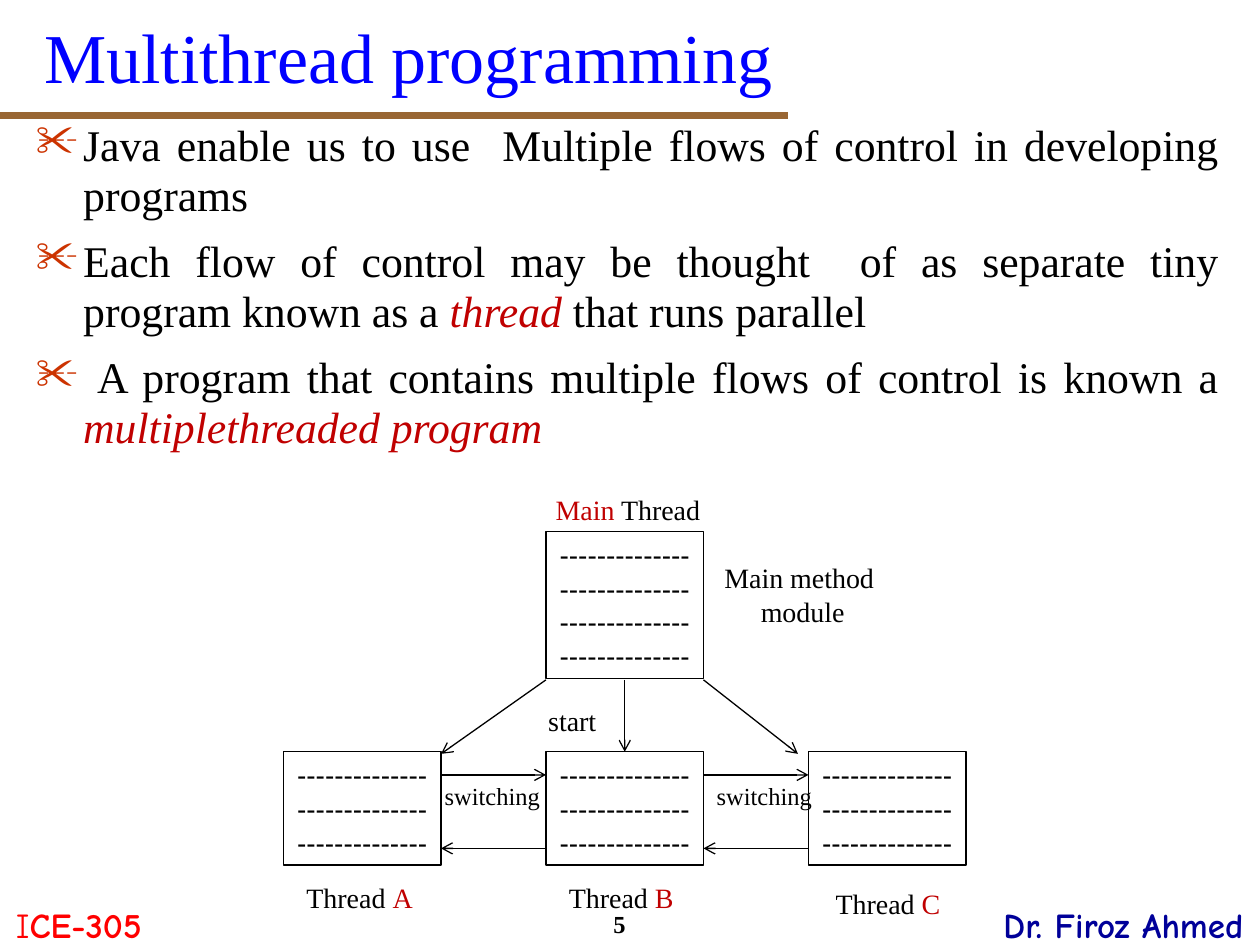
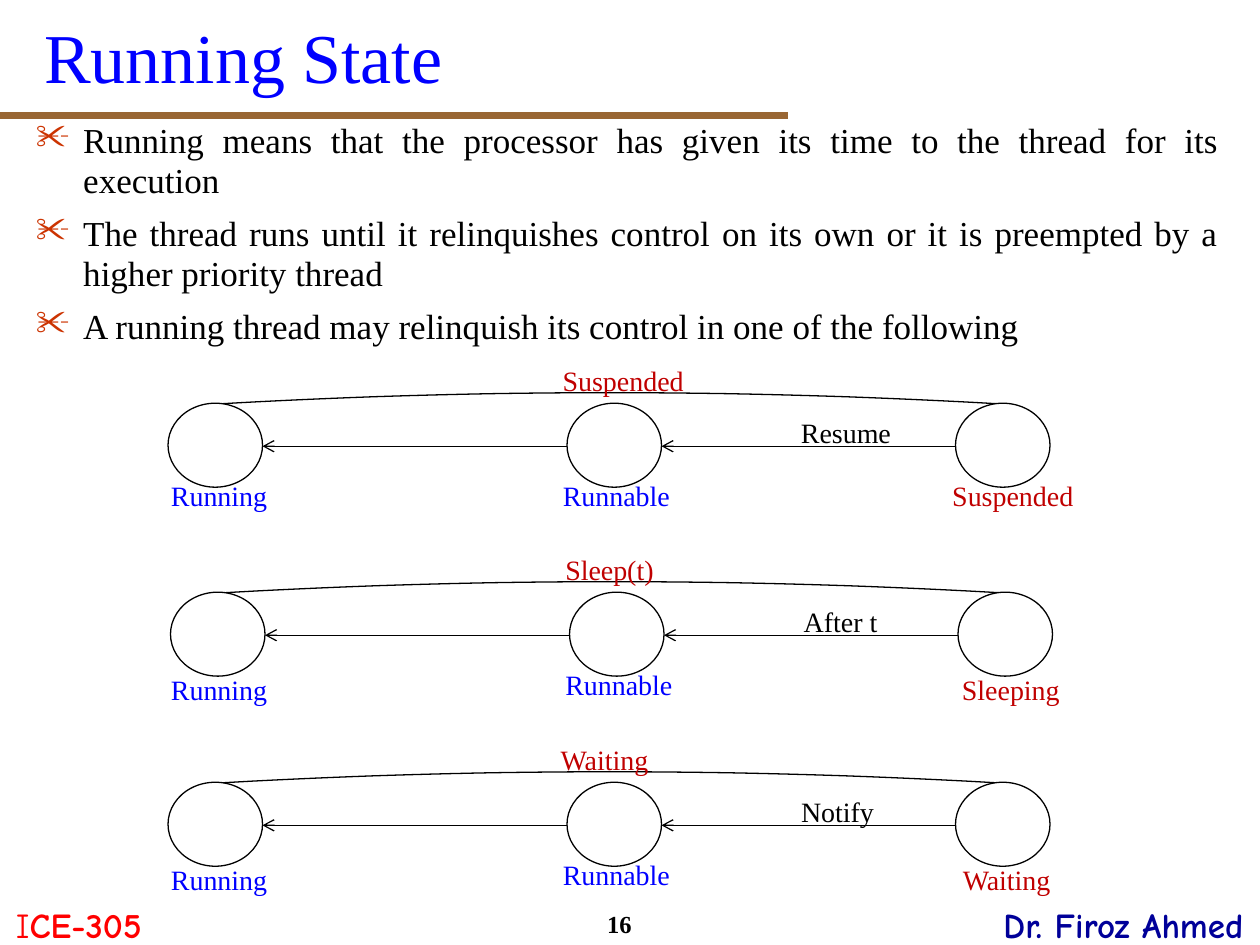
from lxml import etree
from pptx import Presentation
from pptx.dml.color import RGBColor
from pptx.enum.shapes import MSO_CONNECTOR, MSO_SHAPE
from pptx.enum.text import MSO_ANCHOR, MSO_AUTO_SIZE, PP_ALIGN
from pptx.oxml.ns import qn
from pptx.util import Inches, Pt

STRAIGHT = MSO_CONNECTOR.STRAIGHT
RECT, OVAL = MSO_SHAPE.RECTANGLE, MSO_SHAPE.OVAL
TOP, MIDDLE = MSO_ANCHOR.TOP, MSO_ANCHOR.MIDDLE
LEFT, CENTER, JUSTIFY = PP_ALIGN.LEFT, PP_ALIGN.CENTER, PP_ALIGN.JUSTIFY
NO_FIT = MSO_AUTO_SIZE.NONE

COLS, ROWS = 120, 90
WIDTH, HEIGHT = Inches(10), Inches(7.5)
SERIF, SANS, COMIC = "Times New Roman", "Arial", "Comic Neue"
COLORS = {
    "ink": "000000", "paper": "FFFFFF", "title": "0000FF", "key": "C00000",
    "band": "996633", "bullet": "CC3300", "course": "FF0000", "author": "000099",
}
TITLE_ONLY = 5


def rgb(name):
    """Look up a colour by its role."""
    return RGBColor.from_string(COLORS[name])


def cell(col, row):
    """Turn a grid place or size into lengths."""
    return round(WIDTH * col / COLS), round(HEIGHT * row / ROWS)


def style(run, size, color="ink", font=SERIF, bold=False, italic=False):
    """Format one run."""
    face = run.font
    face.size, face.name = Pt(size), font
    face.bold, face.italic = bold, italic
    face.color.rgb = rgb(color)


def write(para, parts, base, odd=None):
    """Write runs, giving every second part the odd style."""
    for i, part in enumerate(parts):
        if part:
            run = para.add_run()
            run.text = part
            style(run, **{**base, **(odd if i % 2 else {})})


def label(slide, box, lines, base, odd=None, wrap=False):
    """Add centred text, one tuple of parts a line."""
    shape = slide.shapes.add_textbox(*cell(*box[:2]), *cell(*box[2:]))
    frame = shape.text_frame
    frame.word_wrap = wrap
    for i, parts in enumerate(lines):
        para = frame.add_paragraph() if i else frame.paragraphs[0]
        para.alignment = CENTER
        write(para, parts, base, odd)


def note(slide, box, *parts, color="ink", size=16):
    """Add a one-line diagram label with its odd part in the key colour."""
    label(slide, box, [parts], {"size": size, "color": color}, {"color": "key"})


def trace(shape, filled=True):
    """Give a shape a thin black outline and no shadow."""
    shape.shadow.inherit = False
    shape.line.color.rgb = rgb("ink")
    shape.line.width = Pt(0.75)
    if filled:
        shape.fill.solid()
        shape.fill.fore_color.rgb = rgb("paper")
    else:
        shape.fill.background()


def link(slide, start, end, color="ink", width=0.75, arrow=True):
    """Draw a straight line, with an open arrowhead if wanted."""
    line = slide.shapes.add_connector(STRAIGHT, *cell(*start), *cell(*end))
    line.line.color.rgb = rgb(color)
    line.line.width = Pt(width)
    props = line._element.spPr
    if arrow:
        etree.SubElement(props.find(qn("a:ln")), qn("a:tailEnd"), type="arrow")
    etree.SubElement(props, qn("a:effectLst"))


def code(slide, col, row, high, count):
    """Draw a box holding lines of dashes as stand-in code."""
    shape = slide.shapes.add_shape(RECT, *cell(col, row), *cell(15, high))
    trace(shape, filled=False)
    frame = shape.text_frame
    frame.word_wrap, frame.vertical_anchor = True, TOP
    frame.text = "-" * 14 * count
    para = frame.paragraphs[0]
    para.alignment = CENTER
    style(para.runs[0], 16, font=SANS)


def arc(slide, col, row):
    """Draw the shallow curve that joins the outer states."""
    span, rise, steps = 75.5, 1.1, 40
    points = [
        cell(col + span * i / steps, row - rise * 4 * i * (steps - i) / steps**2)
        for i in range(steps + 1)
    ]
    build = slide.shapes.build_freeform(*points[0])
    build.add_line_segments(points[1:], close=False)
    trace(build.convert_to_shape())


def points(slide, high, size, before, items):
    """Add the justified bullet list under the title."""
    shape = slide.shapes.add_textbox(*cell(2.25, 11), *cell(115, high))
    frame = shape.text_frame
    frame.word_wrap = True
    for i, parts in enumerate(items):
        para = frame.add_paragraph() if i else frame.paragraphs[0]
        para.alignment, para.line_spacing = JUSTIFY, 0.95
        para.space_before = Pt(before)
        props = para._p.get_or_add_pPr()
        indent = Inches(0.375)
        props.set("marL", str(indent))
        props.set("indent", str(-indent))
        tint = etree.SubElement(props, qn("a:buClr"))
        etree.SubElement(tint, qn("a:srgbClr"), val=COLORS["bullet"])
        etree.SubElement(props, qn("a:buChar"), char="✂")
        write(para, parts, {"size": size}, {"color": "key", "italic": True})


def start(deck, title, page):
    """Add a slide with its title, band and footers."""
    slide = deck.slides.add_slide(deck.slide_layouts[TITLE_ONLY])
    link(slide, (0, 11), (75, 11), "band", 4.5, arrow=False)
    comic = {"size": 20, "font": COMIC}
    label(slide, (0, 85.5, 15, 5.3), [("I", "CE-305")],
          {**comic, "color": "course"}, {"bold": True}, wrap=True)
    label(slide, (94, 85.5, 26, 5.3), [("Dr. Firoz Ahmed",)],
          {**comic, "color": "author", "bold": True}, wrap=True)
    label(slide, (55, 86, 8, 4), [(page,)], {"size": 14, "bold": True}, wrap=True)
    head = slide.shapes.title
    head.left, head.top = cell(3, -0.25)
    head.width, head.height = cell(114, 11)
    frame = head.text_frame
    frame.text = title
    frame.auto_size, frame.vertical_anchor = NO_FIT, MIDDLE
    frame.paragraphs[0].alignment = LEFT
    style(frame.paragraphs[0].runs[0], 40, "title")
    return slide


def threads(slide):
    """Draw the main thread and the three threads it starts."""
    left, mid, step, wide = 27, 52, 25, 15
    main_row, row = 50.6, 71.6
    code(slide, mid, main_row, 14, 4)
    for i in range(3):
        code(slide, left + i * step, row, 10.8, 3)
    note(slide, (51.7, 46.3, 16.2, 4.4), "", "Main", " Thread")
    label(slide, (67.8, 52.8, 17.3, 7.7), [("Main method ",), ("module",)], {"size": 16})
    foot = main_row + 14.15
    link(slide, (mid, foot), (left + wide, row + 0.2))
    link(slide, (mid + wide, foot), (76, row + 0.2))
    link(slide, (mid + wide / 2, foot), (mid + wide / 2, row))
    note(slide, (51, 66.4, 7, 4.4), "start")
    note(slide, (28, 83.3, 12.5, 4.4), "Thread ", "A")
    note(slide, (53, 83.3, 13, 4.4), "Thread", " B ")
    note(slide, (78.4, 83.8, 13, 4.4), "Thread ", "C ")
    for i in range(2):
        near = left + wide + i * step
        far = near + step - wide
        link(slide, (near, 73.8), (far, 73.8))
        link(slide, (far, 80.8), (near, 80.8))
        note(slide, (40.9 + i * 25.9, 73.8, 12, 4.1), "switching ", size=14)


def states(slide, row, shift, drop, event, back, state):
    """Draw one cycle; event, back and state are pairs of word and width."""
    run, ready, stop = (col + shift for col in (16, 54, 91))
    wide, high = 9, 8
    arc(slide, 20.3 + shift, row + 0.1)
    for col in (run, stop, ready):
        trace(slide.shapes.add_shape(OVAL, *cell(col, row), *cell(wide, high)))
    mid = row + 4.1
    link(slide, (stop, mid), (ready + wide, mid))
    link(slide, (ready, mid), (run + wide, mid))
    text = ready - 1.9
    note(slide, (15.1, row + drop, 12.2, 4.4), "Running ", color="title")
    note(slide, (text, row - 4.4, event[1], 4.4), event[0], color="key")
    note(slide, (text, row + 6.6, 13.2, 4.4), "Runnable ", color="title")
    note(slide, (text + 23, row + 0.6, back[1], 4.4), back[0])
    left = 89.2 if drop < 7 else 90.4
    note(slide, (left, row + drop, state[1], 4.4), state[0], color="key")


def main():
    """Build both slides and save the deck."""
    deck = Presentation()
    deck.slide_width, deck.slide_height = WIDTH, HEIGHT

    slide = start(deck, "Multithread programming", "5")
    points(slide, 34, 25, 9.4, [
        ("Java enable us to use  Multiple flows of control in developing programs",),
        ("Each flow of control may be thought  of as separate tiny program known as a ",
         "thread", " that runs parallel"),
        (" A program that contains multiple flows of control is known a ",
         "multiplethreaded program"),
    ])
    threads(slide)

    slide = start(deck, "Running State", "16")
    points(slide, 24, 20, 7.5, [
        ("Running means that the processor has given its time to the thread "
         "for its execution",),
        ("The thread runs until it relinquishes control on its own or it is "
         "preempted by a higher priority thread",),
        ("A running thread may relinquish its control in one of the following ",),
    ])
    states(slide, 38.4, 0, 6.6, ("Suspended ", 14.5), ("Resume ", 11.6), ("Suspended ", 14.5))
    states(slide, 56.4, 0.24, 7.1, ("Sleep(t) ", 11.4), ("After t ", 10.1), ("Sleeping ", 12.4))
    states(slide, 74.5, 0, 7.1, ("Waiting ", 11.6), ("Notify ", 10), ("Waiting ", 11.6))

    deck.save("out.pptx")


if __name__ == "__main__":
    main()
